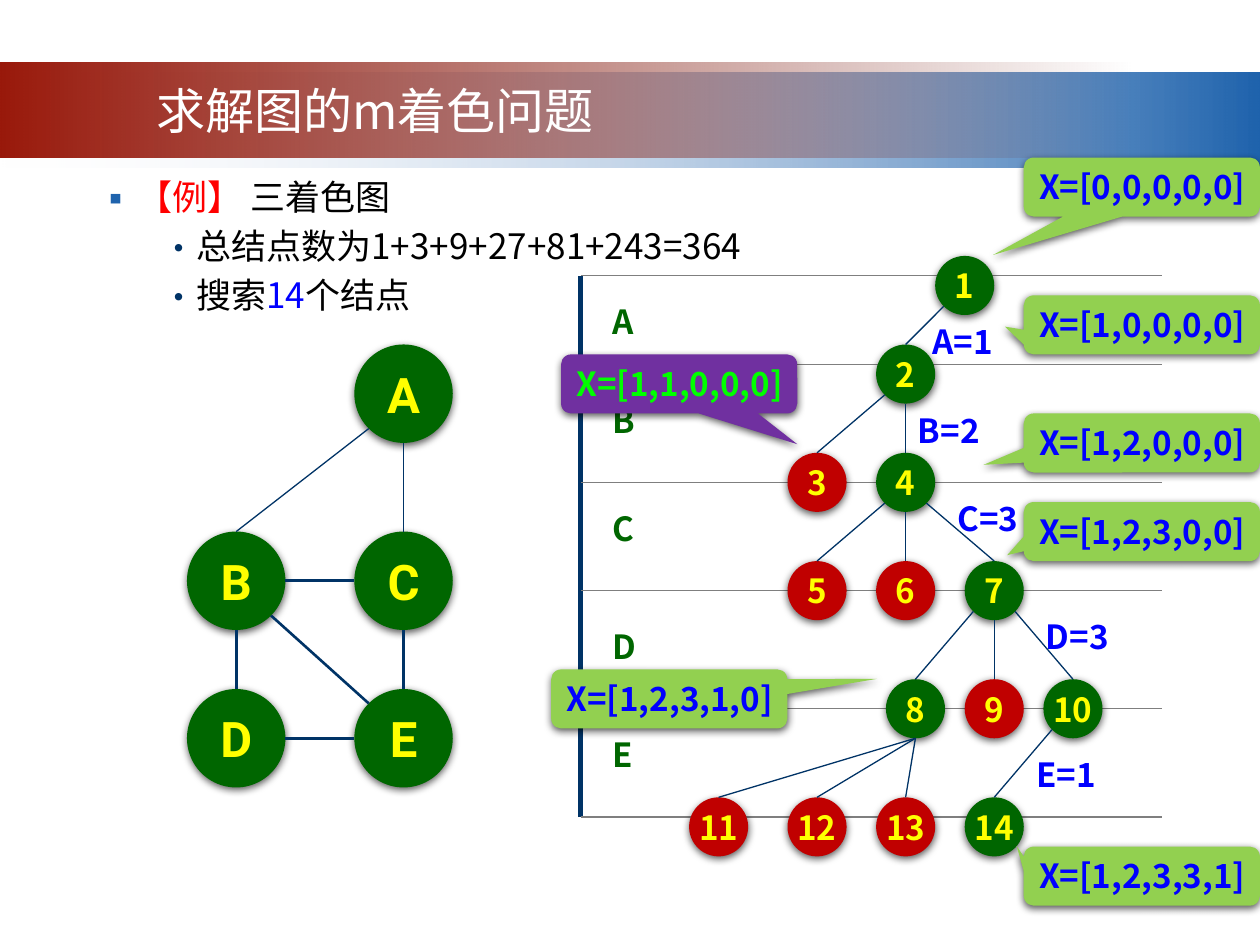
from math import cos, radians, sin

from lxml.etree import SubElement
from pptx import Presentation
from pptx.dml.color import RGBColor
from pptx.enum.shapes import MSO_CONNECTOR as Link, MSO_SHAPE as Kind
from pptx.enum.text import MSO_ANCHOR as Anchor, PP_ALIGN as Align
from pptx.oxml.ns import qn
from pptx.util import Cm, Pt

SANS = "Noto Sans CJK SC"
GREEN, RED, BLUE, NAVY = "006600", "C00000", "0000FF", "003366"
YELLOW, LIME, PURPLE, BLACK = "FFFF00", "92D050", "7030A0", "000000"
SIDES = {"E": 0, "SE": 45, "S": 90, "SW": 135, "W": 180, "NW": 225, "N": 270}


def grid(n):
    return Cm(n * 25.4 / 128)


def tint(code):
    return RGBColor.from_string(code)


def put(par, words, size, code, bold=False, face=SANS):
    run = par.add_run()
    run.text = words
    font = run.font
    font.size, font.bold, font.name = Pt(size), bold, face
    font.color.rgb = tint(code)
    SubElement(run._r.get_or_add_rPr(), qn("a:ea"), typeface=face)


def shade(shape):
    shape.shadow.inherit = False
    effect = shape._element.spPr.find(qn("a:effectLst"))
    drop = SubElement(effect, qn("a:outerShdw"), blurRad=str(Pt(4.5)),
                      dist=str(Pt(1.5)), dir="5400000", rotWithShape="0")
    color = SubElement(drop, qn("a:srgbClr"), val=BLACK)
    SubElement(color, qn("a:alpha"), val="63000")


def band(slide, top, wide, stops):
    shape = slide.shapes.add_shape(Kind.RECTANGLE, 0, Cm(top), Cm(wide), Cm(1.91))
    shape.line.fill.background()
    shape.shadow.inherit = False
    shape.fill.gradient()
    shape.fill.gradient_angle = 0
    for stop, (code, clear) in zip(shape.fill.gradient_stops, stops):
        stop.color.rgb = tint(code)
        if clear:
            color = shape._element.spPr.find(f".//{qn('a:srgbClr')}[@val='{code}']")
            SubElement(color, qn("a:alpha"), val="0")


def head(slide, words):
    title = slide.shapes.title
    slide.shapes._spTree.append(title._element)
    title.left, title.top, title.width, title.height = Cm(1.57), Cm(1.5), Cm(11.99), Cm(1.45)
    frame = title.text_frame
    frame.vertical_anchor = Anchor.MIDDLE
    par = frame.paragraphs[0]
    par.alignment = Align.CENTER
    put(par, words, 28, "FFFFFF")


def points(slide, rows):
    box = slide.shapes.add_textbox(Cm(0.46), Cm(3.42), Cm(17.17), Cm(4.8))
    frame = box.text_frame
    frame.word_wrap = True
    for i, (left, hang, mark, code, runs) in enumerate(rows):
        par = frame.add_paragraph() if i else frame.paragraphs[0]
        props = par._p.get_or_add_pPr()
        props.set("marL", str(Cm(left)))
        props.set("indent", str(-Cm(hang)))
        color = SubElement(props, qn("a:buClr"))
        SubElement(color, qn("a:srgbClr"), val=code)
        SubElement(props, qn("a:buFont"), typeface=SANS)
        SubElement(props, qn("a:buChar"), char=mark)
        par.line_spacing = Pt(24)
        par.space_before = Pt(4 if i else 0)
        for words, ink in runs:
            put(par, words, 20, ink)


def line(slide, start, end, code=NAVY, width=0.75):
    link = slide.shapes.add_connector(Link.STRAIGHT, *start, *end)
    link.line.color.rgb = tint(code)
    link.line.width = Pt(width)
    SubElement(link._element.spPr, qn("a:effectLst"))


def block(slide, kind, spot, size, fill):
    shape = slide.shapes.add_shape(kind, *map(grid, (*spot, *size)))
    shape.fill.solid()
    shape.fill.fore_color.rgb = tint(fill)
    shape.line.fill.background()
    shade(shape)
    shape.text_frame.word_wrap = False
    return shape


def node(slide, name, spot, size, fill, points, face):
    shape = block(slide, Kind.OVAL, spot, (size, size), fill)
    frame = shape.text_frame
    frame.vertical_anchor = Anchor.MIDDLE
    par = frame.paragraphs[0]
    par.alignment = Align.CENTER
    put(par, name, points, YELLOW, True, face)
    return shape


def rim(shape, side):
    turn, half = radians(SIDES[side]), shape.width / 2
    return (round(shape.left + half * (1 + cos(turn))),
            round(shape.top + half * (1 + sin(turn))))


def join(slide, nodes, edges):
    for start, side, end, goal, width in edges:
        line(slide, rim(nodes[start], side), rim(nodes[end], goal), width=width)


def label(slide, words, x, y, code):
    box = slide.shapes.add_textbox(*map(grid, (x, y, 10, 5.5)))
    put(box.text_frame.paragraphs[0], words, 19, code, True)


def callout(slide, words, x, y, tip, fill=LIME, ink=BLUE):
    shape = block(slide, Kind.ROUNDED_RECTANGULAR_CALLOUT, (x, y), (24, 6), fill)
    for i, value in enumerate((*tip, 0.17)):
        shape.adjustments[i] = value
    frame = shape.text_frame
    frame.vertical_anchor = Anchor.TOP
    par = frame.paragraphs[0]
    par.alignment = Align.LEFT
    put(par, f"X=[{words}]", 19, ink, True)


def levels(slide):
    rows = (28, 37, 49, 60, 72, 83)
    line(slide, (grid(59), grid(83)), (grid(59), grid(28)), width=3)
    for y in rows:
        line(slide, (grid(118), grid(y)), (grid(59), grid(y)), "7F7F7F")


def graph(slide):
    spots = {"B": (19, 54), "D": (19, 70), "C": (36, 54), "E": (36, 70), "A": (36, 35)}
    nodes = {k: node(slide, k, v, 10, GREEN, 28, "Roboto") for k, v in spots.items()}
    join(slide, nodes, [
        ("A", "S", "C", "N", 0.75), ("C", "S", "E", "N", 1.5),
        ("D", "E", "E", "W", 1.5), ("B", "E", "C", "W", 1.5),
        ("B", "S", "D", "N", 1.5), ("A", "SW", "B", "N", 0.75),
        ("E", "NW", "B", "SE", 1.5)])


def tree(slide):
    spots = {1: (95, 26), 2: (89, 35), 3: (80, 46), 4: (89, 46), 5: (80, 57),
             6: (89, 57), 7: (98, 57), 8: (90, 69), 9: (98, 69), 10: (106, 69),
             11: (70, 81), 12: (80, 81), 13: (89, 81), 14: (98, 81)}
    dead = {3, 5, 6, 9, 11, 12, 13}
    nodes = {k: node(slide, str(k), v, 6, RED if k in dead else GREEN, 19, SANS)
             for k, v in spots.items()}
    falls = [(1, "SW", 2), (2, "SW", 3), (2, "S", 4), (4, "SW", 5), (4, "S", 6),
             (4, "SE", 7), (7, "SW", 8), (7, "S", 9), (7, "SE", 10),
             (8, "S", 11), (8, "S", 12), (8, "S", 13), (10, "SW", 14)]
    join(slide, nodes, [(*fall, "N", 0.75) for fall in falls])
    for words, x, y in (("A=1", 93.5, 32), ("B=2", 92, 41), ("C=3", 96, 50),
                        ("D=3", 105, 62), ("E=1", 104, 76)):
        label(slide, words, x, y, BLUE)
    for name, y in zip("ABCDE", (30, 40, 51, 63, 74)):
        label(slide, name, 61, y, GREEN)


def main():
    deck = Presentation()
    deck.slide_width, deck.slide_height = Cm(25.4), Cm(19.05)
    slide = deck.slides.add_slide(deck.slide_layouts[5])
    band(slide, 1.47, 25.4, [("F1F2F7", True), ("1F63AD", False)])
    band(slide, 1.27, 22.86, [("99190B", False), ("6D1208", True)])
    head(slide, "求解图的m着色问题")
    levels(slide)
    points(slide, [
        (2.06, 0.79, "▪", "1F63AD", [("【例】 ", "FF0000"), ("三着色图", BLACK)]),
        (3.18, 0.64, "•", NAVY, [("总结点数为1+3+9+27+81+243=364", BLACK)]),
        (3.18, 0.64, "•", NAVY, [("搜索", BLACK), ("14", BLUE), ("个结点", BLACK)])])
    graph(slide)
    tree(slide)
    callout(slide, "0,0,0,0,0", 104, 16, (-0.63, 1.15))
    callout(slide, "1,0,0,0,0", 104, 30, (-0.58, 0.03))
    callout(slide, "1,1,0,0,0", 57, 36, (0.5, 1.02), PURPLE, "00FF00")
    callout(slide, "1,2,0,0,0", 104, 42, (-0.67, 0.37))
    callout(slide, "1,2,3,0,0", 104, 51, (-0.57, 0.4))
    callout(slide, "1,2,3,1,0", 56, 68, (0.88, -0.34))
    callout(slide, "1,2,3,3,1", 104, 86, (-0.53, -0.51))
    deck.save("out.pptx")


if __name__ == "__main__":
    main()
